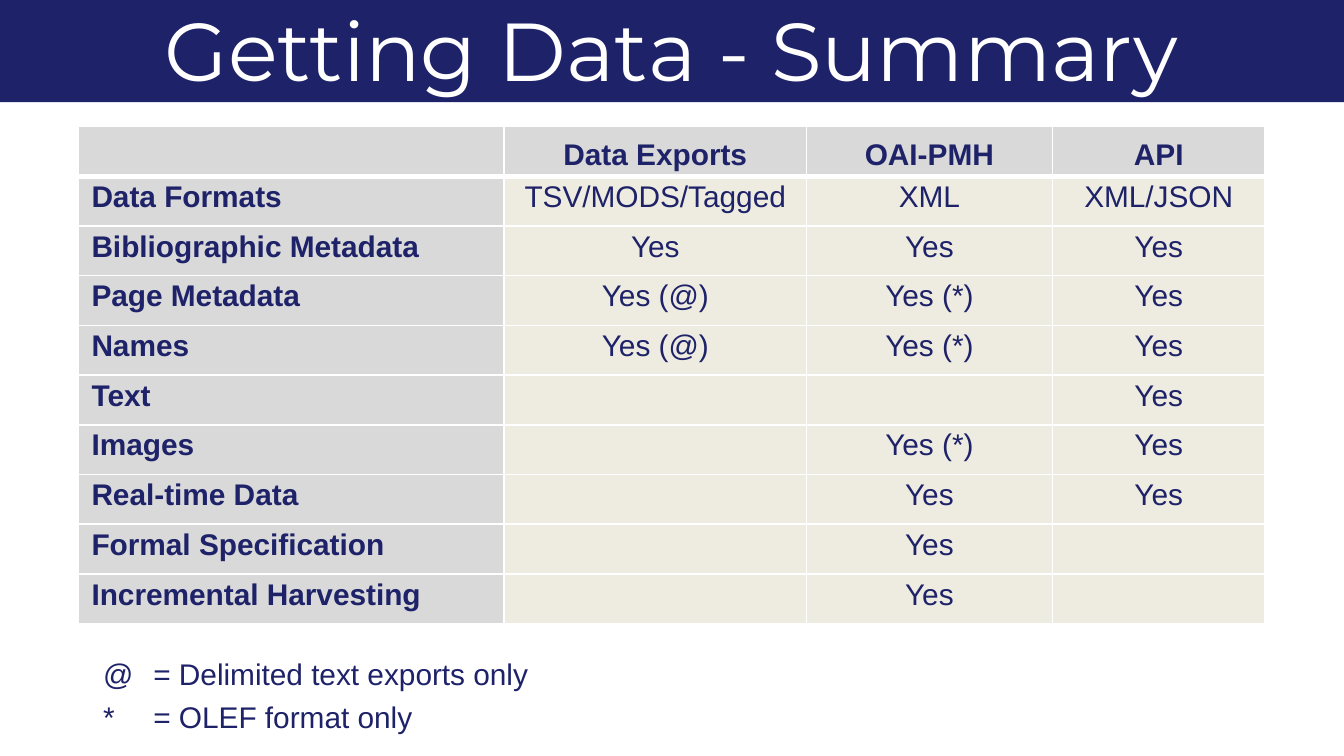
from lxml.etree import SubElement
from pptx import Presentation
from pptx.dml.color import RGBColor
from pptx.enum.shapes import MSO_SHAPE
from pptx.enum.text import MSO_ANCHOR, MSO_AUTO_SIZE, PP_ALIGN
from pptx.oxml.ns import qn
from pptx.util import Cm, Pt

COLORS = {"navy": "1E2268", "white": "FFFFFF", "header": "D9D9D9", "body": "EEECE1"}
COLUMN_WIDTHS = [8.05, 5.71, 4.65, 4.02]
ROWS = [
    ["", "Data Exports", "OAI-PMH", "API"],
    ["Data Formats", "TSV/MODS/Tagged", "XML", "XML/JSON"],
    ["Bibliographic Metadata", "Yes", "Yes", "Yes"],
    ["Page Metadata", "Yes (@)", "Yes (*)", "Yes"],
    ["Names", "Yes (@)", "Yes (*)", "Yes"],
    ["Text", "", "", "Yes"],
    ["Images", "", "Yes (*)", "Yes"],
    ["Real-time Data", "", "Yes", "Yes"],
    ["Formal Specification", "", "Yes", ""],
    ["Incremental Harvesting", "", "Yes", ""],
]
NOTES = ["@\t= Delimited text exports only", "*\t= OLEF format only"]


def rgb(name):
    return RGBColor.from_string(COLORS[name])


def apply_format(target, values):
    for name, value in values.items():
        setattr(target, name, value)


def write(paragraph, text, color="navy", **font_values):
    run = paragraph.add_run()
    run.text = text
    apply_format(run.font, {"name": "Arial", "size": Pt(16), **font_values})
    run.font.color.rgb = rgb(color)


def set_borders(cell, bottom_width):
    """Draw white lines on all four sides; call before filling the cell."""
    properties = cell._tc.get_or_add_tcPr()
    widths = {"a:lnL": 1, "a:lnR": 1, "a:lnT": 1, "a:lnB": bottom_width}
    for tag, width in widths.items():
        line = SubElement(properties, qn(tag), w=str(Pt(width)))
        fill = SubElement(line, qn("a:solidFill"))
        SubElement(fill, qn("a:srgbClr"), val=COLORS["white"])


def add_title(slide, left, top, width, height):
    banner = slide.shapes.add_shape(MSO_SHAPE.RECTANGLE, left, top, width, height)
    banner.shadow.inherit = False
    banner.fill.solid()
    banner.fill.fore_color.rgb = rgb("navy")
    banner.line.fill.background()

    title = slide.shapes.title
    title._element.addprevious(banner._element)
    margin = Cm(1.27)
    apply_format(title, {"left": left + margin, "top": top - Cm(0.13),
                         "width": width - 2 * margin, "height": Cm(1.65)})
    apply_format(title.text_frame, {"vertical_anchor": MSO_ANCHOR.TOP,
                                    "auto_size": MSO_AUTO_SIZE.NONE, "word_wrap": True})
    paragraph = title.text_frame.paragraphs[0]
    paragraph.alignment = PP_ALIGN.CENTER
    write(paragraph, "Getting Data - Summary", "white", name="Montserrat", size=Pt(44))


def add_access_table(slide, left, top, width, height):
    table = slide.shapes.add_table(len(ROWS), len(COLUMN_WIDTHS),
                                   left, top, width, height).table
    table.horz_banding = False
    for column, column_width in zip(table.columns, COLUMN_WIDTHS):
        column.width = Cm(column_width)
    for row_index, texts in enumerate(ROWS):
        for column_index, text in enumerate(texts):
            is_top, is_side = row_index == 0, column_index == 0
            cell = table.cell(row_index, column_index)
            set_borders(cell, 3 if is_top else 1)
            cell.fill.solid()
            cell.fill.fore_color.rgb = rgb("header" if is_top or is_side else "body")
            apply_format(cell, {
                "margin_left": Cm(0.25), "margin_right": Cm(0.25),
                "margin_top": Cm(0.08), "margin_bottom": Cm(0.08),
                "vertical_anchor": MSO_ANCHOR.BOTTOM if is_top else MSO_ANCHOR.TOP,
            })
            if text:
                paragraph = cell.text_frame.paragraphs[0]
                paragraph.alignment = PP_ALIGN.LEFT if is_side else PP_ALIGN.CENTER
                write(paragraph, text, bold=is_top or is_side)


def add_notes_key(slide, left, top, width, height):
    """Explain the table's marks, with the meanings on a hanging indent."""
    frame = slide.shapes.add_textbox(left, top, width, height).text_frame
    frame.word_wrap = True
    for index, note in enumerate(NOTES):
        paragraph = frame.add_paragraph() if index else frame.paragraphs[0]
        paragraph.space_before = Pt(3.6)
        properties = paragraph._p.get_or_add_pPr()
        properties.set("marL", str(Cm(0.95)))
        properties.set("indent", str(-Cm(0.95)))
        write(paragraph, note)


def main():
    presentation = Presentation()
    apply_format(presentation, {"slide_width": Cm(25.4), "slide_height": Cm(14.29)})
    slide = presentation.slides.add_slide(presentation.slide_layouts[5])
    add_title(slide, Cm(0), Cm(0), presentation.slide_width, Cm(1.93))
    add_access_table(slide, Cm(1.48), Cm(2.39), Cm(sum(COLUMN_WIDTHS)), Cm(9.4))
    add_notes_key(slide, Cm(1.7), Cm(12.27), Cm(18.85), Cm(1.85))
    presentation.save("out.pptx")


if __name__ == "__main__":
    main()
